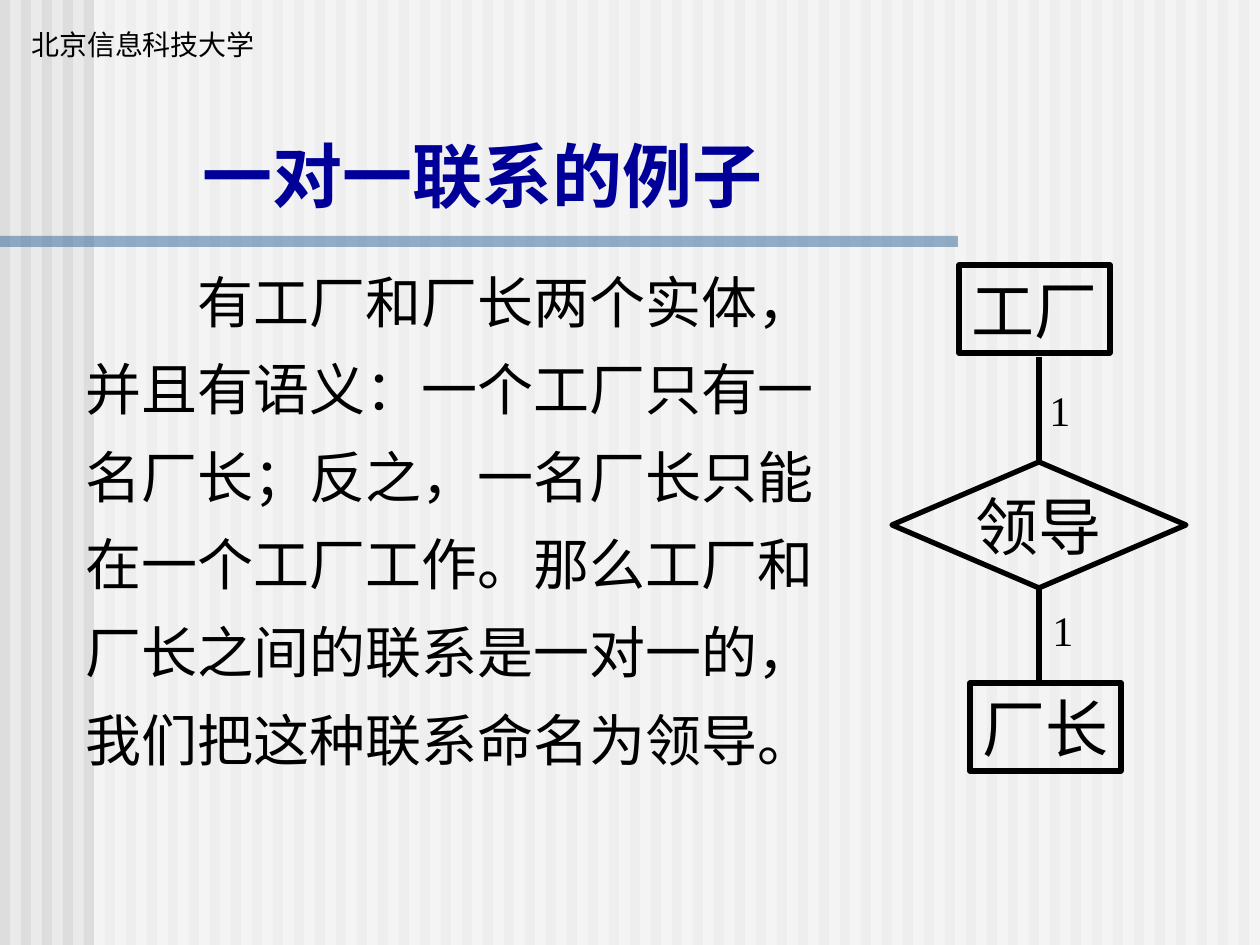
"""Build a slide on one-to-one relationships with a small entity diagram."""
from pptx import Presentation
from pptx.dml.color import RGBColor
from pptx.enum.shapes import MSO_CONNECTOR, MSO_SHAPE
from pptx.enum.text import MSO_ANCHOR, MSO_AUTO_SIZE, PP_ALIGN
from pptx.oxml.ns import qn
from pptx.util import Pt
from lxml import etree

RECTANGLE = MSO_SHAPE.RECTANGLE
DECISION = MSO_SHAPE.FLOWCHART_DECISION
STRAIGHT = MSO_CONNECTOR.STRAIGHT
TOP, MIDDLE = MSO_ANCHOR.TOP, MSO_ANCHOR.MIDDLE
LEFT, CENTER = PP_ALIGN.LEFT, PP_ALIGN.CENTER
NO_AUTOFIT = MSO_AUTO_SIZE.NONE

SCHOOL = ("北京信息科技大学", (19, 21, 248, 47))
TITLE = ("一对一联系的例子", (190, 126, 585, 97))
BODY = (
    "有工厂和厂长两个实体，并且有语义：一个工厂只有一名厂长；反之，"
    "一名厂长只能在一个工厂工作。那么工厂和厂长之间的联系是一对一的，"
    "我们把这种联系命名为领导。",
    (73, 241, 759, 538),
)
ENTITIES = [("工厂", (959, 265, 151, 88)), ("厂长", (970, 683, 151, 88))]
RELATIONSHIP = ("领导", (892, 462, 294, 126))
LINKS = [(0, 357), (2, 683)]
CARDINALITIES = [("1", (1037, 378, 45, 63)), ("1", (1040, 598, 45, 63))]

PX = 914400 // 126
PAGE_WIDTH, PAGE_HEIGHT = 1260, 945
STRIPE_PITCH, STRIPE_WIDTH = 21, 10
WASH = (94, 0, 1166, 945)
RULE = (0, 236, 958, 11)

THEME = {
    "background": "EAEAEA", "stripe": "DDDDDD", "wash": "FFFFFF",
    "rule": "336699", "ink": "000000", "title": "000099",
    "serif": "Times New Roman", "sans": "DejaVu Sans",
    "school_size": 16, "title_size": 40, "body_size": 32,
    "entity_size": 36, "cardinality_size": 24,
    "body_leading": 50, "stroke": 3,
}


def color(key):
    return RGBColor.from_string(THEME[key])


def emu(area):
    return [value * PX for value in area]


def write(shape, text, size, ink="ink", face="serif", bold=False,
          wrap=False, anchor=TOP, align=LEFT):
    frame = shape.text_frame
    frame.text = text
    frame.auto_size = NO_AUTOFIT
    frame.word_wrap = wrap
    frame.vertical_anchor = anchor
    para = frame.paragraphs[0]
    para.alignment = align
    font = para.runs[0].font
    font.name = THEME[face]
    font.size = Pt(THEME[size])
    font.bold = bold
    font.color.rgb = color(ink)
    return para


def add_band(page, area, key, alpha=None):
    band = page.shapes.add_shape(RECTANGLE, *emu(area))
    band.shadow.inherit = False
    band.line.fill.background()
    band.fill.solid()
    band.fill.fore_color.rgb = color(key)
    if alpha:
        tint = band.fill._xPr.find(".//" + qn("a:srgbClr"))
        etree.SubElement(tint, qn("a:alpha"), val=str(alpha * 1000))


def add_backdrop(page):
    page.background.fill.solid()
    page.background.fill.fore_color.rgb = color("background")
    for left in range(0, PAGE_WIDTH, STRIPE_PITCH):
        add_band(page, (left, 0, STRIPE_WIDTH, PAGE_HEIGHT), "stripe")
    add_band(page, WASH, "wash", alpha=50)
    add_band(page, RULE, "rule", alpha=50)


def add_label(page, text, area, size, **style):
    return write(page.shapes.add_textbox(*emu(area)), text, size, **style)


def add_title(page):
    text, area = TITLE
    title = page.shapes.title
    page.shapes._spTree.append(title._element)
    title.left, title.top, title.width, title.height = emu(area)
    write(title, text, "title_size", ink="title", bold=True)


def add_node(page, preset, text, area, **style):
    node = page.shapes.add_shape(preset, *emu(area))
    node.shadow.inherit = False
    node.fill.background()
    node.line.color.rgb = color("ink")
    node.line.width = Pt(THEME["stroke"])
    write(node, text, "entity_size", **style)
    return node


def add_link(page, node, site, end_y):
    center = node.left + node.width // 2
    start_y = node.top if site == 0 else node.top + node.height
    link = page.shapes.add_connector(STRAIGHT, center, start_y, center, end_y * PX)
    link.begin_connect(node, site)
    link.line.color.rgb = color("ink")
    link.line.width = Pt(THEME["stroke"])
    etree.SubElement(link._element.spPr, qn("a:effectLst"))


def main():
    deck = Presentation()
    deck.slide_width, deck.slide_height = PAGE_WIDTH * PX, PAGE_HEIGHT * PX
    page = deck.slides.add_slide(deck.slide_layouts[5])
    add_backdrop(page)
    add_label(page, *SCHOOL, "school_size", face="sans")
    body = add_label(page, *BODY, "body_size", wrap=True)
    body.line_spacing = Pt(THEME["body_leading"])
    body._p.get_or_add_pPr().set("indent", str(Pt(2 * THEME["body_size"])))
    add_title(page)
    diamond = add_node(page, DECISION, *RELATIONSHIP, anchor=MIDDLE, align=CENTER)
    for text, area in ENTITIES:
        add_node(page, RECTANGLE, text, area)
    for site, end_y in LINKS:
        add_link(page, diamond, site, end_y)
    for text, area in CARDINALITIES:
        add_label(page, text, area, "cardinality_size")
    deck.save("out.pptx")


if __name__ == "__main__":
    main()
